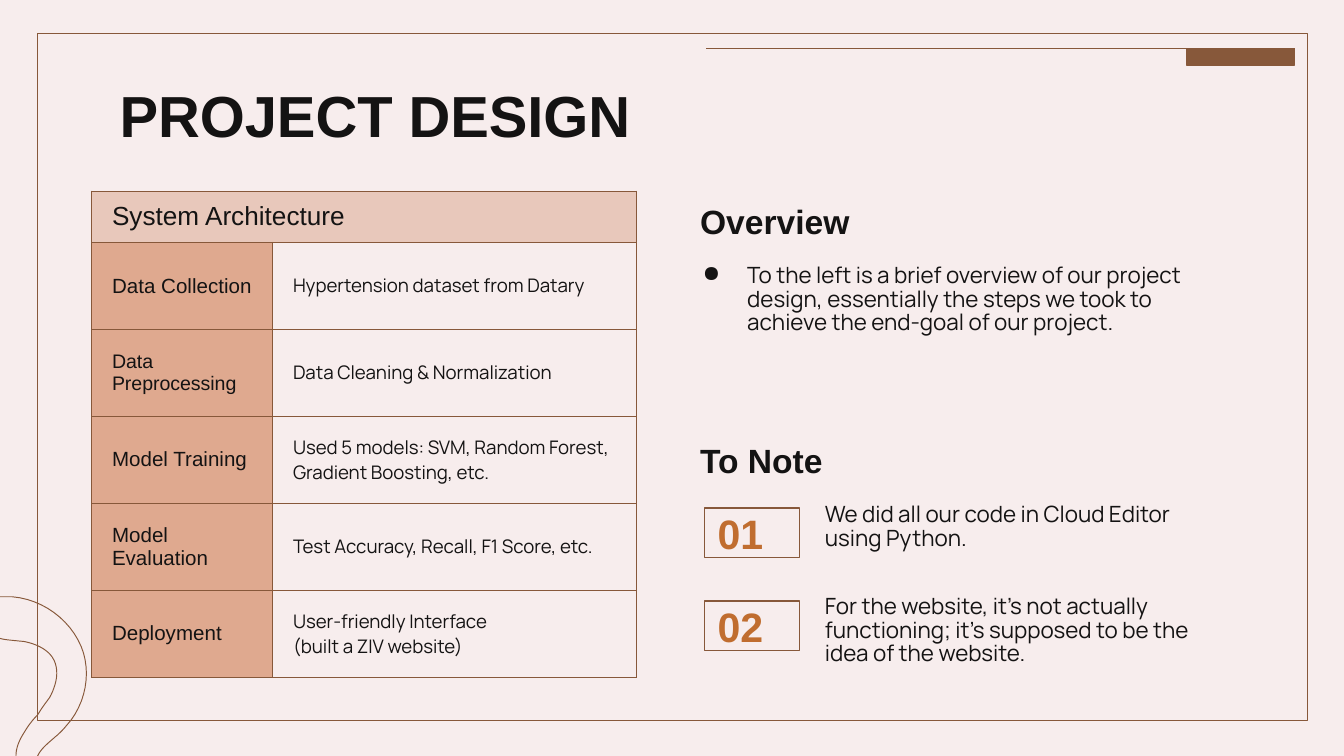
from dataclasses import dataclass

from lxml.etree import SubElement
from pptx import Presentation
from pptx.dml.color import RGBColor
from pptx.enum.shapes import MSO_CONNECTOR, MSO_SHAPE
from pptx.enum.text import MSO_ANCHOR, PP_ALIGN
from pptx.oxml.ns import qn
from pptx.util import Pt


@dataclass(frozen=True)
class Theme:
    """Colours, fonts and type sizes of the slide."""
    back: str = "F7EDED"
    ink: str = "141313"
    brown: str = "87583A"
    orange: str = "C06D2F"
    head: str = "E8C8BB"
    label: str = "DFA98F"
    sans: str = "Arial"
    text: str = "Manrope"
    title: float = 31
    number: float = 22
    section: float = 18
    header: float = 14
    body: float = 12
    step: float = 11
    tight: float = 10.5
    detail: float = 10
    rule: float = 0.75
    thin: float = 0.5
    inset: float = 7.2
    leading: float = 0.88


class Board:
    """Draws elements on one slide in one theme."""

    def __init__(self, slide, theme):
        """Keep the slide and theme and paint the background."""
        self.slide, self.theme = slide, theme
        self.paint(slide.background.fill, theme.back)

    def paint(self, fill, color):
        """Make a fill solid, or empty when there is no colour."""
        if color:
            fill.solid()
            fill.fore_color.rgb = RGBColor.from_string(color)
        else:
            fill.background()

    def letter(self, frame, text, size, face, color=None, bold=False):
        """Set the text of a frame and format its runs."""
        frame.text = text
        frame.word_wrap = True
        for para in frame.paragraphs:
            para.alignment = PP_ALIGN.LEFT
            for run in para.runs:
                run.font.size, run.font.name, run.font.bold = Pt(size), face, bold
                run.font.color.rgb = RGBColor.from_string(color or self.theme.ink)

    def pad(self, frame, anchor):
        """Give a frame even insets and an anchor."""
        frame.margin_left = frame.margin_right = Pt(self.theme.inset)
        frame.margin_top = frame.margin_bottom = Pt(self.theme.inset)
        frame.vertical_anchor = anchor

    def label(self, box, text, size, face, bold=False, anchor=MSO_ANCHOR.TOP):
        """Add a text box and return its first paragraph."""
        frame = self.slide.shapes.add_textbox(*map(Pt, box)).text_frame
        self.pad(frame, anchor)
        self.letter(frame, text, size, face, bold=bold)
        return frame.paragraphs[0]

    def heading(self, top, text):
        """Add a bold section heading."""
        self.label((368, top, 284, 34), text, self.theme.section,
                   self.theme.sans, True, MSO_ANCHOR.BOTTOM)

    def body(self, box, text, bullet=False):
        """Add body copy, with a bullet if asked."""
        para = self.label(box, text, self.theme.body, self.theme.text)
        para.line_spacing = self.theme.leading
        if bullet:
            props = para._p.get_or_add_pPr()
            props.set("marL", str(Pt(25.2)))
            props.set("indent", str(-Pt(23.8)))
            tint = SubElement(props, qn("a:buClr"))
            SubElement(tint, qn("a:srgbClr"), val=self.theme.ink)
            SubElement(props, qn("a:buChar"), char="●")

    def rect(self, box, color=None):
        """Add an outlined rectangle."""
        shape = self.slide.shapes.add_shape(MSO_SHAPE.RECTANGLE, *map(Pt, box))
        shape.shadow.inherit = False
        self.paint(shape.fill, color)
        self.paint(shape.line.fill, self.theme.brown)
        shape.line.width = Pt(self.theme.rule)
        return shape

    def number(self, top, text):
        """Add a framed number."""
        frame = self.rect((377.3, top, 51, 26.6)).text_frame
        self.pad(frame, MSO_ANCHOR.MIDDLE)
        self.letter(frame, text, self.theme.number, self.theme.sans,
                    self.theme.orange, True)

    def line(self, start, end):
        """Add a straight rule."""
        rule = self.slide.shapes.add_connector(
            MSO_CONNECTOR.STRAIGHT, *map(Pt, start + end))
        self.paint(rule.line.fill, self.theme.brown)
        rule.line.width = Pt(self.theme.rule)
        SubElement(rule._element.spPr, qn("a:effectLst"))

    def curve(self, start, bends, steps=12):
        """Add an open outline through cubic bends."""
        spots, here = [], start
        for bend in bends:
            for step in range(1, steps + 1):
                t = step / steps
                u = 1 - t
                spots.append(tuple(
                    Pt(u**3 * a + 3 * u * u * t * b + 3 * u * t * t * c + t**3 * d)
                    for a, b, c, d in zip(here, *bend)))
            here = bend[-1]
        pen = self.slide.shapes.build_freeform(*map(Pt, start))
        pen.add_line_segments(spots, close=False)
        shape = pen.convert_to_shape()
        shape.shadow.inherit = False
        self.paint(shape.fill, None)
        self.paint(shape.line.fill, self.theme.brown)
        shape.line.width = Pt(self.theme.thin)

    def cell(self, cell, text, size, face, color=None):
        """Fill, border and letter one table cell."""
        props = cell._tc.get_or_add_tcPr()
        for side in ("lnL", "lnR", "lnT", "lnB"):
            edge = SubElement(props, qn("a:" + side), w=str(Pt(self.theme.rule)))
            fill = SubElement(edge, qn("a:solidFill"))
            SubElement(fill, qn("a:srgbClr"), val=self.theme.brown)
        self.paint(cell.fill, color)
        cell.margin_left = Pt(10.8)
        cell.margin_right = cell.margin_top = cell.margin_bottom = Pt(3.6)
        cell.vertical_anchor = MSO_ANCHOR.MIDDLE
        self.letter(cell.text_frame, text, size, face)

    def table(self, box, widths, top, high, title, rows):
        """Add a table with a merged header and labelled rows."""
        look = self.theme
        grid = self.slide.shapes.add_table(len(rows) + 1, 2, *map(Pt, box)).table
        grid.first_row = grid.horz_banding = False
        for col, wide in zip(grid.columns, widths):
            col.width = Pt(wide)
        for i, row in enumerate(grid.rows):
            row.height = Pt(high if i else top)
        grid.cell(0, 0).merge(grid.cell(0, 1))
        self.cell(grid.cell(0, 0), title, look.header, look.sans, look.head)
        self.cell(grid.cell(0, 1), "", look.header, look.sans, look.head)
        for i, (name, size, note) in enumerate(rows, 1):
            self.cell(grid.cell(i, 0), name, size, look.sans, look.label)
            self.cell(grid.cell(i, 1), note, look.detail, look.text)


def main():
    """Build and save the slide."""
    deck = Presentation()
    deck.slide_width, deck.slide_height = Pt(720), Pt(405)
    look = Theme()
    board = Board(deck.slides.add_slide(deck.slide_layouts[6]), look)

    board.rect((20, 18, 680.4, 368))
    board.line((378.5, 26), (693.5, 26))
    board.rect((635.8, 26, 57.7, 8.8), look.brown)
    board.curve((0, 342), [
        ((1.5, 342.5), (3.5, 342.7), (5, 342.9)),
        ((8, 343.2), (10, 343.4), (13, 343.7)),
        ((18, 344.7), (24.5, 347), (28, 352)),
        ((32.4, 358.6), (30.2, 367.2), (26.6, 373.7)),
        ((24.5, 376.6), (22.3, 379.4), (20.2, 383)),
        ((17.3, 385.9), (15.1, 388.8), (13, 392.4)),
        ((10, 397), (8.6, 401), (8.6, 405))])
    board.curve((0, 319.7), [
        ((2.2, 319.7), (4.3, 319.7), (6.5, 319.7)),
        ((23, 321.1), (37.4, 331.9), (43.5, 346.3)),
        ((49.2, 360), (46.1, 377.3), (35.6, 388.8)),
        ((33.8, 391), (31.7, 393.1), (29.5, 394.9)),
        ((26, 398), (22, 401), (20.2, 405))])

    board.label((57, 35.3, 607, 45.4), "PROJECT DESIGN", look.title, look.sans, True)
    board.table((49.2, 102.5, 292, 260.4), (97, 195), 27.4, 46.6,
                "System Architecture", [
        ("Data Collection", look.step, "Hypertension dataset from Datary"),
        ("Data Preprocessing", look.tight, "Data Cleaning & Normalization"),
        ("Model Training", look.step,
         "Used 5 models: SVM, Random Forest, Gradient Boosting, etc."),
        ("Model Evaluation", look.step, "Test Accuracy, Recall, F1 Score, etc."),
        ("Deployment", look.step, "User-friendly Interface\n(built a ZIV website)")])

    board.heading(102.2, "Overview")
    board.body((368, 134.6, 284, 82.8),
               "To the left is a brief overview of our project design, essentially "
               "the steps we took to achieve the end-goal of our project.", True)
    board.heading(230.4, "To Note")
    notes = ["We did all our code in Cloud Editor using Python.",
             "For the website, it’s not actually functioning; it’s supposed to "
             "be the idea of the website."]
    for i, note in enumerate(notes):
        board.number(272.2 + 49.8 * i, f"{i + 1:02}")
        board.body((434.9, 262.8 + 49 * i, 228.2, 49), note)
    deck.save("out.pptx")


if __name__ == "__main__":
    main()
